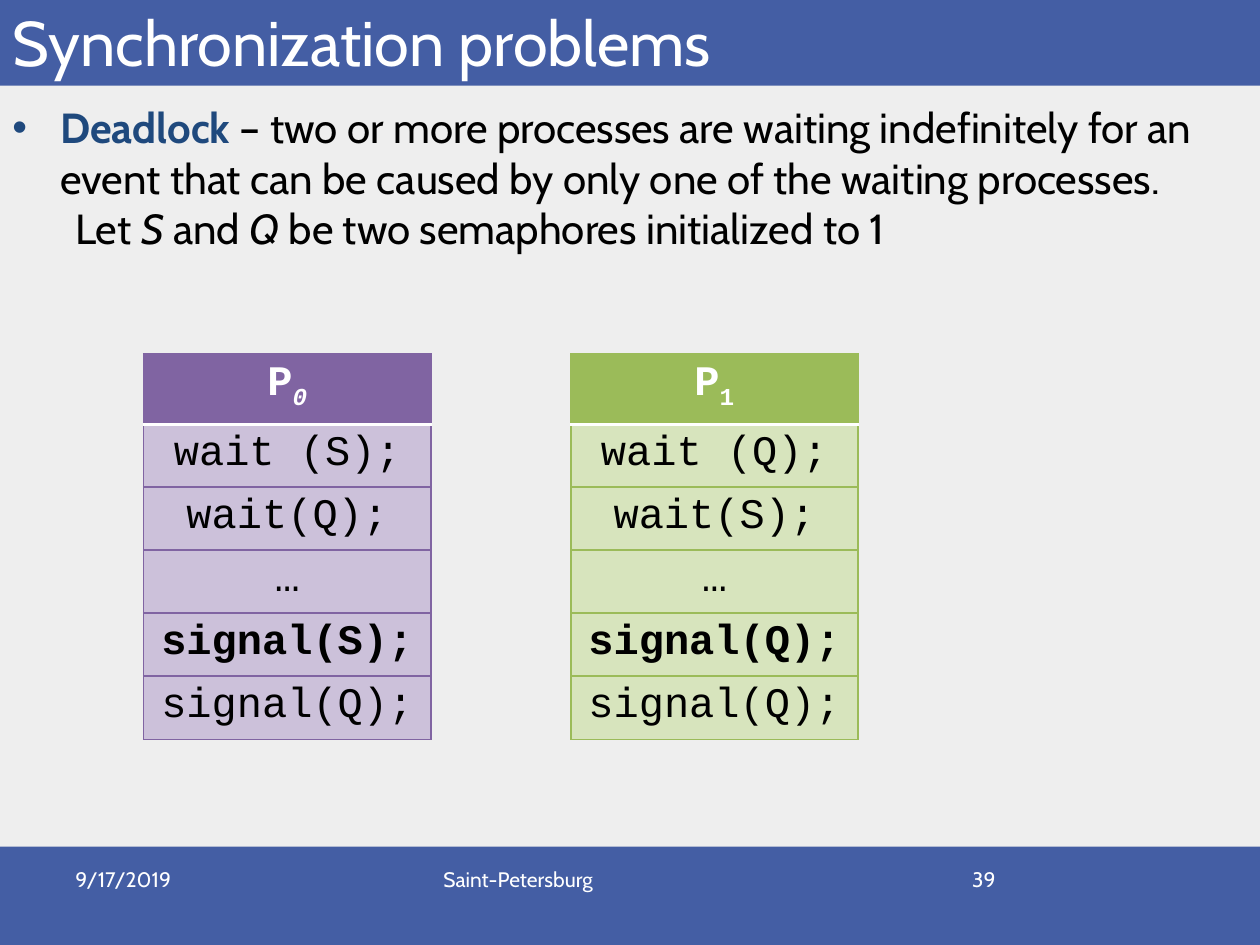
"""Build the slide on synchronization problems and deadlock."""
import pptx
import pptx.dml.color
import pptx.enum.shapes
import pptx.enum.text
import pptx.oxml
import pptx.oxml.ns
import pptx.util
from pptx.util import Inches

RGBColor = pptx.dml.color.RGBColor
ALIGN = pptx.enum.text.PP_ALIGN
BAND = RGBColor(0x44, 0x5E, 0xA4)
BACKGROUND = RGBColor(0xEE, 0xEE, 0xEE)
WHITE = RGBColor(0xFF, 0xFF, 0xFF)
BLACK = RGBColor(0, 0, 0)
NAVY = RGBColor(0x1F, 0x49, 0x7D)
PURPLE = RGBColor(0x80, 0x64, 0xA2)
LAVENDER = RGBColor(0xCC, 0xC1, 0xDA)
GREEN = RGBColor(0x9B, 0xBB, 0x59)
PALE_GREEN = RGBColor(0xD7, 0xE4, 0xBD)


class SlideBuilder:
    text_font = "Cabin"
    code_font = "Courier New"

    def __init__(self, deck):
        self.slide = deck.slides.add_slide(deck.slide_layouts[5])
        fill = self.slide.background.fill
        fill.solid()
        fill.fore_color.rgb = BACKGROUND

    def style(self, span, size, color, name=None, bold=False, italic=False):
        font = span.font
        font.name = name or self.text_font
        font.size = pptx.util.Pt(size)
        font.color.rgb = color
        font.bold = bold
        font.italic = italic

    def band(self, top, height):
        band = self.slide.shapes.add_shape(
            pptx.enum.shapes.MSO_SHAPE.RECTANGLE, 0, Inches(top), Inches(10), Inches(height))
        band.shadow.inherit = False
        band.fill.solid()
        band.fill.fore_color.rgb = BAND
        band.line.fill.background()

    def title(self, text):
        title = self.slide.shapes.title
        title.left, title.top = Inches(0), Inches(-0.21)
        title.width, title.height = Inches(10), Inches(0.89)
        frame = title.text_frame
        frame.text = text
        frame.auto_size = pptx.enum.text.MSO_AUTO_SIZE.NONE
        frame.vertical_anchor = pptx.enum.text.MSO_ANCHOR.BOTTOM
        para = frame.paragraphs[0]
        para.alignment = ALIGN.LEFT
        self.style(para.runs[0], 36, WHITE)
        self.slide.shapes._spTree.append(title._element)

    def text_box(self, left, top, width, height):
        box = self.slide.shapes.add_textbox(
            Inches(left), Inches(top), Inches(width), Inches(height))
        box.text_frame.word_wrap = True
        return box.text_frame

    def footer(self, text, left, width, align=ALIGN.LEFT):
        frame = self.text_box(left, 6.83, width, 0.52)
        frame.text = text
        para = frame.paragraphs[0]
        para.alignment = align
        self.style(para.runs[0], 12, WHITE)

    def spans(self, para, parts):
        for text, color, bold, italic in parts:
            span = para.add_run()
            span.text = text
            self.style(span, 24, color, bold=bold, italic=italic)

    def bullet(self, para):
        properties = para._p.get_or_add_pPr()
        properties.set("marL", str(Inches(0.38)))
        properties.set("indent", str(-Inches(0.38)))
        for tag, name, value in (("buFont", "typeface", "Arial"), ("buChar", "char", "•")):
            element = pptx.oxml.parse_xml(f'<a:{tag} {pptx.oxml.ns.nsdecls("a")} {name}="{value}"/>')
            properties.append(element)

    def border(self, cell, side, color, width):
        line = pptx.oxml.parse_xml(
            f'<a:ln{side} {pptx.oxml.ns.nsdecls("a")} w="{pptx.util.Pt(width)}">'
            f'<a:solidFill><a:srgbClr val="{color}"/></a:solidFill></a:ln{side}>')
        cell._tc.get_or_add_tcPr().append(line)

    def process_table(self, left, index, steps, dark, light, italic_index=False):
        rows = len(steps) + 1
        frame = self.slide.shapes.add_table(
            rows, 1, Inches(left), Inches(2.81), Inches(2.28), Inches(3))
        table = frame.table
        for row, text in enumerate(["P"] + steps):
            header = row == 0
            table.rows[row].height = Inches(0.55 if header else 0.5)
            cell = table.cell(row, 0)
            cell.text = text
            para = cell.text_frame.paragraphs[0]
            para.alignment = ALIGN.CENTER
            self.style(para.runs[0], 24, WHITE if header else BLACK,
                       self.code_font, bold=row in (0, 4))
            if header:
                subscript = para.add_run()
                subscript.text = index
                self.style(subscript, 24, WHITE, self.code_font, True, italic_index)
                subscript.font._element.set("baseline", "-25000")
            for side in "LRTB":
                under_header = (row, side) in ((0, "B"), (1, "T"))
                self.border(cell, side, WHITE if under_header else dark, 2 if under_header else 1)
            cell.fill.solid()
            cell.fill.fore_color.rgb = dark if header else light


def main():
    deck = pptx.Presentation()
    deck.slide_width, deck.slide_height = Inches(10), Inches(7.5)
    builder = SlideBuilder(deck)
    builder.band(6.72, 0.78)
    builder.band(0, 0.68)
    builder.title("Synchronization problems")
    builder.footer("9/17/2019", 0.5, 2.33)
    builder.footer("39", 7.17, 0.83, ALIGN.RIGHT)
    builder.footer("Saint-Petersburg", 3.42, 3.17)

    body = builder.text_box(0, 0.76, 10, 1.31)
    definition = body.paragraphs[0]
    builder.bullet(definition)
    builder.spans(definition, [
        ("Deadlock ", NAVY, True, False),
        ("– two or more processes are waiting indefinitely for an event that can be "
         "caused by only one of the waiting processes.", BLACK, False, False)])
    builder.spans(body.add_paragraph(), [
        ("\tLet ", BLACK, False, False),
        ("S", BLACK, False, True),
        (" and ", BLACK, False, False),
        ("Q", BLACK, False, True),
        (" be two semaphores initialized to 1", BLACK, False, False)])

    builder.process_table(
        1.14, "0", ["wait (S);", "wait(Q);", "…", "signal(S);", "signal(Q);"],
        PURPLE, LAVENDER, italic_index=True)
    builder.process_table(
        4.53, "1", ["wait (Q);", "wait(S);", "…", "signal(Q);", "signal(Q);"],
        GREEN, PALE_GREEN)
    deck.save("out.pptx")


if __name__ == "__main__":
    main()
